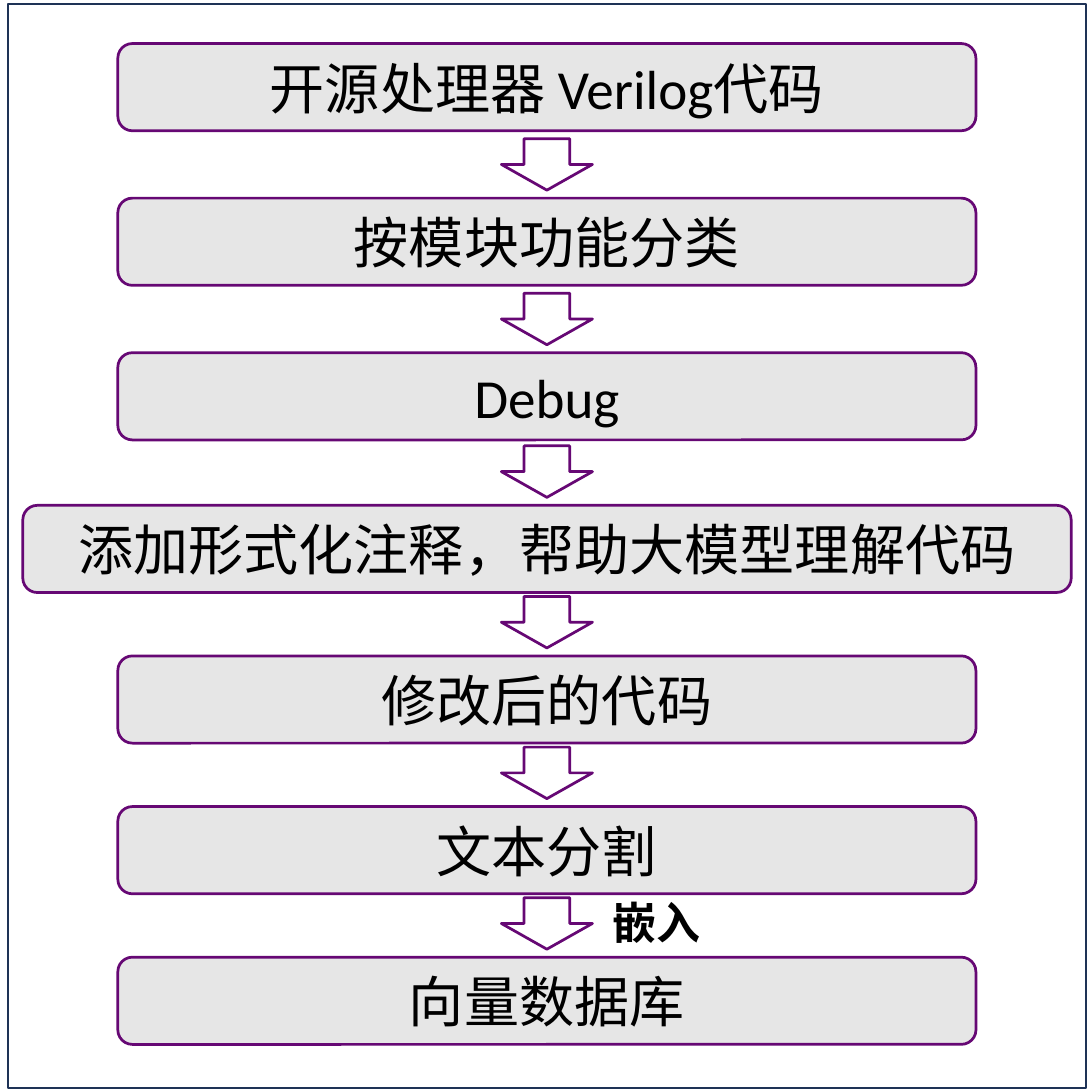
"""Build a slide showing how processor code becomes a vector database."""
from dataclasses import dataclass

from pptx import Presentation
from pptx import util as u
from pptx.dml.color import RGBColor
from pptx.enum import shapes, text


@dataclass
class Theme:
    font: str = "Calibri"
    ink: str = "000000"
    paper: str = "FFFFFF"
    panel: str = "E6E6E6"
    edge: str = "660874"
    frame: str = "1E3256"
    step: int = 20
    note: int = 16


theme = Theme()
kinds = shapes.MSO_SHAPE
deck = Presentation()
deck.slide_width = deck.slide_height = u.Inches(5.51)
slide = deck.slides.add_slide(deck.slide_layouts[6])


def draw(kind, left, top, width, height, fill, line):
    shape = slide.shapes.add_shape(kind, *map(u.Inches, (left, top, width, height)))
    shape.shadow.inherit = False
    shape.fill.solid()
    shape.fill.fore_color.rgb = RGBColor.from_string(fill)
    shape.line.color.rgb = RGBColor.from_string(line)
    shape.line.width = u.Pt(1)
    return shape


def write(shape, words, size, bold=False):
    shape.text_frame.text = words
    font = shape.text_frame.paragraphs[0].runs[0].font
    font.name, font.size, font.bold = theme.font, u.Pt(size), bold
    font.color.rgb = RGBColor.from_string(theme.ink)


steps = [
    ("开源处理器 Verilog代码", 0.22, 4.33),
    ("按模块功能分类", 1.0, 4.33),
    ("Debug", 1.78, 4.33),
    ("添加形式化注释，帮助大模型理解代码", 2.55, 5.29),
    ("修改后的代码", 3.31, 4.33),
    ("文本分割", 4.07, 4.33),
    ("向量数据库", 4.83, 4.33),
]
mid = 2.76
wide, tall = 0.46, 0.26

draw(kinds.RECTANGLE, 0.04, 0.02, 5.44, 5.47, theme.paper, theme.frame)

for place, (words, top, width) in enumerate(steps):
    box = draw(kinds.ROUNDED_RECTANGLE, mid - width / 2, top, width, 0.44,
               theme.panel, theme.edge)
    write(box, words, theme.step)
    box.text_frame.vertical_anchor = text.MSO_ANCHOR.MIDDLE
    box.text_frame.paragraphs[0].alignment = text.PP_ALIGN.CENTER
    if place:
        draw(kinds.DOWN_ARROW, mid - wide / 2, top - 0.3, wide, tall,
             theme.paper, theme.edge)

note = slide.shapes.add_textbox(*map(u.Inches, (2.99, 4.47, 1.02, 0.37)))
note.text_frame.word_wrap = True
write(note, "嵌入", theme.note, bold=True)

deck.save("out.pptx")
